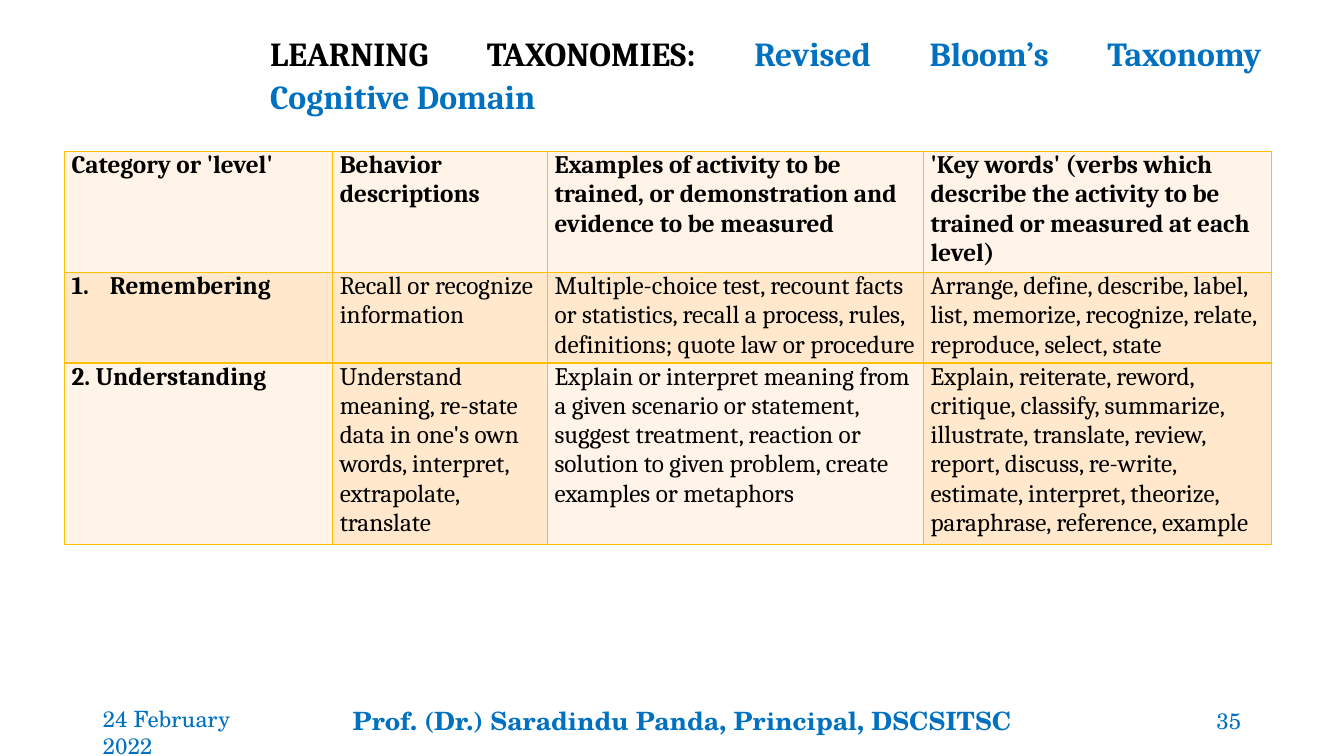
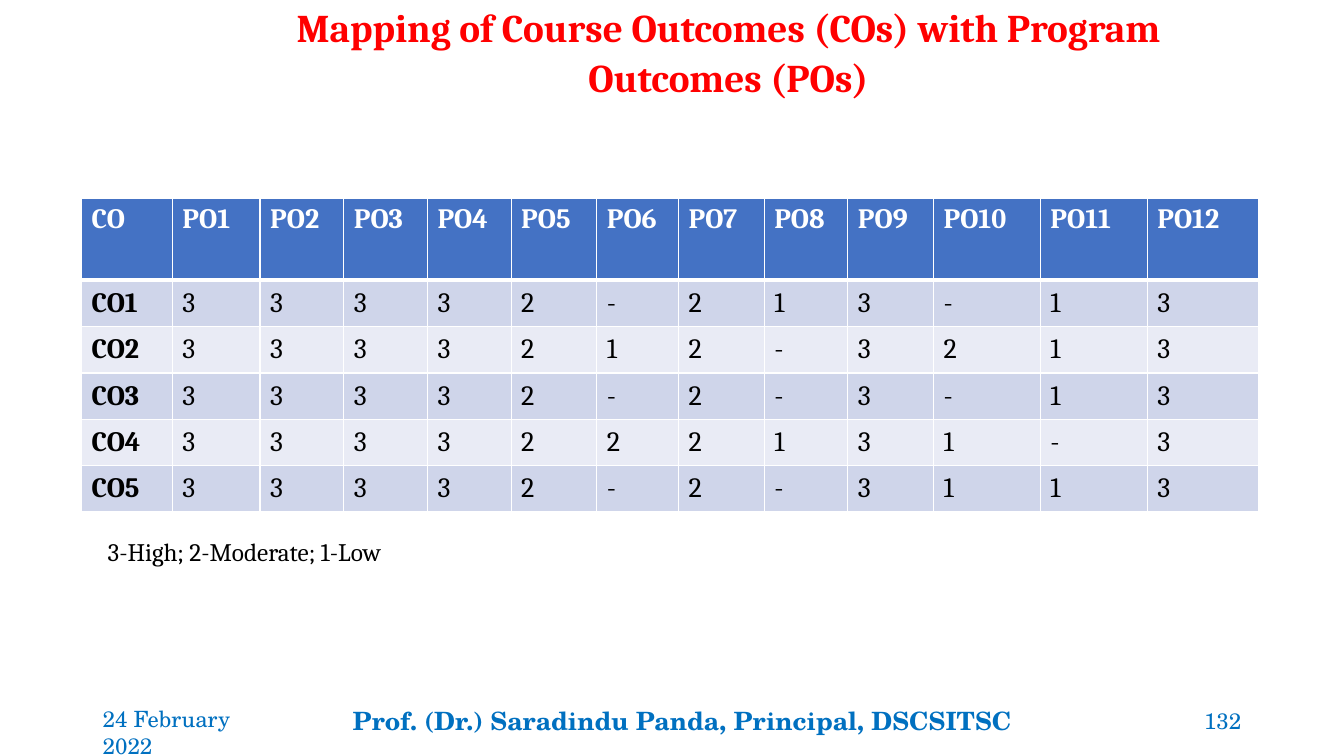
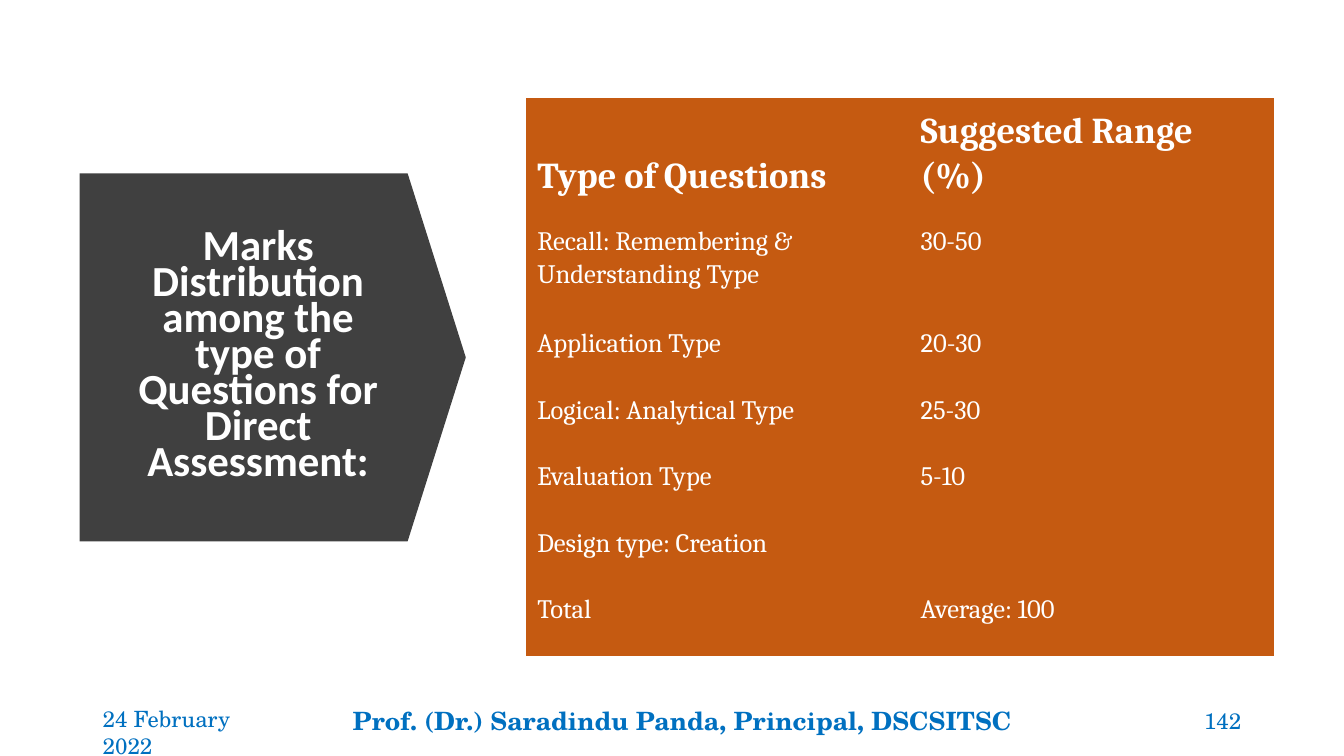
from lxml.etree import SubElement
from pptx import Presentation
from pptx.dml.color import RGBColor
from pptx.enum.shapes import MSO_SHAPE as Shape
from pptx.enum.text import MSO_ANCHOR as Anchor, MSO_AUTO_SIZE as AutoSize, PP_ALIGN as Align
from pptx.oxml.ns import qn
from pptx.util import Inches, Pt

COLORS = {
    "black": "000000", "white": "FFFFFF", "blue": "0070C0", "red": "FF0000",
    "gold": "FFC000", "cream": "FFF4E7", "peach": "FFE8CC", "header": "4472C4",
    "band": "CFD5EA", "pale": "E9EBF5", "dark": "404040", "rust": "C55A11",
}
BODY_FONT, FOOTER_FONT, ARROW_FONT = "Cambria", "TeX Gyre Schola", "Calibri"
PLAIN_TABLE = "{2D5ABB26-0587-4C30-8999-92F81FD0307C}"


def rgb(name):
    return RGBColor.from_string(COLORS[name])


class Deck:
    def __init__(self):
        self.file = Presentation()
        self.file.slide_width, self.file.slide_height = Inches(13.33), Inches(7.5)
        self.page = None

    def new_page(self, number):
        self.page = self.file.slides.add_slide(self.file.slide_layouts[5])
        footer = {"color": "blue", "font": FOOTER_FONT}
        self.text((0.92, 6.95, 1.99, 0.4), "24 February 2022", size=16, **footer)
        self.text((3.4, 6.95, 6.81, 0.4), "Prof. (Dr.) Saradindu Panda, Principal, DSCSITSC",
                  size=18, bold=True, **footer)
        self.text((10.96, 6.95, 1.45, 0.4), str(number), size=16, align=Align.RIGHT,
                  anchor=Anchor.MIDDLE, **footer)

    def style(self, para, size, color="black", bold=False, font=BODY_FONT,
              align=Align.LEFT, spacing=None, after=0):
        para.alignment = align
        if spacing:
            para.line_spacing = spacing
        para.space_after = Pt(after)
        para.font.size, para.font.bold, para.font.name = Pt(size), bold, font
        para.font.color.rgb = rgb(color)

    def text(self, place, words, anchor=Anchor.TOP, **style):
        box = self.page.shapes.add_textbox(*map(Inches, place))
        box.text_frame.word_wrap = True
        box.text_frame.vertical_anchor = anchor
        para = box.text_frame.paragraphs[0]
        para.text = words
        self.style(para, **style)

    def title(self, place, words, size, accent="", anchor=Anchor.BOTTOM, spacing=1.07, **style):
        """Fill the title placeholder; accent is a blue ending that may hold line breaks."""
        title = self.page.shapes.title
        title.left, title.top, title.width, title.height = map(Inches, place)
        frame = title.text_frame
        frame.word_wrap, frame.auto_size, frame.vertical_anchor = True, AutoSize.NONE, anchor
        para = frame.paragraphs[0]
        para.text = words
        self.style(para, size, bold=True, spacing=spacing, after=8, **style)
        for index, line in enumerate(accent.splitlines()):
            if index:
                para.add_line_break()
            span = para.add_run()
            span.text = line
            span.font.color.rgb = rgb("blue")

    def arrow_behind_title(self, place, color):
        arrow = self.page.shapes.add_shape(Shape.DOWN_ARROW, *map(Inches, place))
        arrow.rotation = 270
        arrow.adjustments[0], arrow.adjustments[1] = 1, 0.158
        arrow.shadow.inherit = False
        arrow.fill.solid()
        arrow.fill.fore_color.rgb = rgb(color)
        arrow.line.fill.background()
        self.page.shapes.title.element.addprevious(arrow.element)

    def table(self, place, widths, heights, rows, look):
        """Draw a table; look(row, column) gives the options of each cell."""
        frame = self.page.shapes.add_table(len(rows), len(widths), *map(Inches, place))
        table = frame.table
        table.first_row = table.horz_banding = False
        table._tbl.tblPr.find(qn("a:tableStyleId")).text = PLAIN_TABLE
        for column, width in zip(table.columns, widths):
            column.width = Inches(width)
        for row, height in zip(table.rows, heights):
            row.height = Inches(height)
        for row, texts in enumerate(rows):
            for column, words in enumerate(texts):
                self.cell(table.cell(row, column), words, **look(row, column))

    def cell(self, cell, words, fill, edges=None, insets=(0.1, 0.05, 0.1, 0.05),
             anchor=Anchor.TOP, numbered=False, **style):
        """edges is a colour and the widths of the left, right, top and bottom lines."""
        if edges:
            self.borders(cell, *edges)
        cell.fill.solid()
        cell.fill.fore_color.rgb = rgb(fill)
        (cell.margin_left, cell.margin_top,
         cell.margin_right, cell.margin_bottom) = map(Inches, insets)
        cell.vertical_anchor = anchor
        para = cell.text_frame.paragraphs[0]
        para.text = words
        if numbered:
            self.number(para)
        self.style(para, **style)

    def borders(self, cell, color, widths):
        properties = cell._tc.get_or_add_tcPr()
        for side, width in zip("LRTB", widths):
            line = SubElement(properties, qn(f"a:ln{side}"), w=str(Pt(width)))
            SubElement(SubElement(line, qn("a:solidFill")), qn("a:srgbClr"), val=COLORS[color])

    def number(self, para):
        properties = para._p.get_or_add_pPr()
        indent = Inches(0.38)
        properties.set("marL", str(indent))
        properties.set("indent", str(-indent))
        SubElement(properties, qn("a:buFont"), typeface="+mj-lt")
        SubElement(properties, qn("a:buAutoNum"), type="arabicPeriod")


def taxonomy_page(deck):
    deck.new_page(35)
    deck.title((2.58, 0.33, 10.03, 0.87), "LEARNING TAXONOMIES: ", 24, align=Align.JUSTIFY,
               accent="Revised Bloom’s Taxonomy\nCognitive Domain")
    rows = [
        ("Category or 'level'", "Behavior descriptions",
         "Examples of activity to be trained, or demonstration and evidence to be measured",
         "'Key words' (verbs which describe the activity to be trained or measured at each level)"),
        ("Remembering", "Recall or recognize information",
         "Multiple-choice test, recount facts or statistics, recall a process, rules, "
         "definitions; quote law or procedure",
         "Arrange, define, describe, label, list, memorize, recognize, relate, reproduce, "
         "select, state"),
        ("2. Understanding",
         "Understand meaning, re-state data in one's own words, interpret, extrapolate, translate",
         "Explain or interpret meaning from a given scenario or statement, suggest treatment, "
         "reaction or solution to given problem, create examples or metaphors",
         "Explain, reiterate, reword, critique, classify, summarize, illustrate, translate, "
         "review, report, discuss, re-write, estimate, interpret, theorize, paraphrase, "
         "reference, example"),
    ]

    def look(row, column):
        peach = row == 1 or (row == 2 and column % 2 == 1)
        return {"fill": "peach" if peach else "cream", "edges": ("gold", (1, 1, 1, 1)),
                "insets": (0.07, 0, 0.07, 0), "size": 18, "after": 10,
                "bold": row == 0 or column == 0, "numbered": (row, column) == (1, 0)}

    deck.table((0.64, 1.5, 11.97, 3.75), (2.66, 2.13, 3.73, 3.45), (1.15, 0.86, 1.74), rows, look)


def mapping_page(deck):
    deck.new_page(132)
    deck.title((1.99, 0.1, 10.47, 0.95),
               "Mapping of Course Outcomes (COs) with Program Outcomes (POs)",
               28, color="red", align=Align.CENTER)
    levels = ["33332-213-13", "3333212-3213", "33332-2-3-13", "3333222131-3", "33332-2-3113"]
    rows = [["CO"] + [f"PO{number}" for number in range(1, 13)]]
    rows += [[f"CO{number}", *marks] for number, marks in enumerate(levels, 1)]

    def look(row, column):
        if row == 0:
            return {"fill": "header", "edges": ("white", (1, 1, 1, 3)),
                    "size": 20, "color": "white", "bold": True}
        return {"fill": "band" if row % 2 else "pale",
                "edges": ("white", (1, 1, 3 if row == 1 else 1, 1)),
                "anchor": Anchor.MIDDLE, "size": 20, "bold": column == 0}

    widths = (0.9, 0.87, 0.83, 0.83, 0.83, 0.85, 0.81, 0.85, 0.83, 0.85, 1.06, 1.06, 1.1)
    deck.table((0.81, 1.97, 11.66, 3.11), widths, [0.81] + [0.46] * 5, rows, look)
    deck.text((0.97, 5.27, 3.36, 0.4), "3-High; 2-Moderate; 1-Low", size=18)


def marks_page(deck):
    deck.new_page(142)
    deck.title((1.12, 2.15, 2.88, 2.79),
               "Marks Distribution among the type of Questions for Direct Assessment:",
               30.6, color="white", font=ARROW_FONT, align=Align.CENTER,
               anchor=Anchor.MIDDLE, spacing=0.7)
    deck.arrow_behind_title((0.88, 1.63, 3.65, 3.83), "dark")
    rows = [
        ("Type of Questions", "Suggested Range (%)"),
        ("Recall: Remembering & Understanding Type", "30-50"),
        ("Application Type", "20-30"),
        ("Logical: Analytical Type", "25-30"),
        ("Evaluation Type", "5-10"),
        ("Design type: Creation", ""),
        ("Total", "Average: 100"),
    ]

    def look(row, column):
        head = row == 0
        return {"fill": "rust", "insets": (0.11, 0.03, 0.16, 0.24), "color": "white",
                "anchor": Anchor.BOTTOM if head else Anchor.TOP, "size": 26 if head else 19,
                "bold": head, "spacing": 1.07, "after": 8}

    deck.table((5.22, 0.97, 7.42, 5.54), (3.8, 3.62), [1.23, 1.01] + [0.66] * 5, rows, look)


def main():
    deck = Deck()
    taxonomy_page(deck)
    mapping_page(deck)
    marks_page(deck)
    deck.file.save("out.pptx")


if __name__ == "__main__":
    main()
